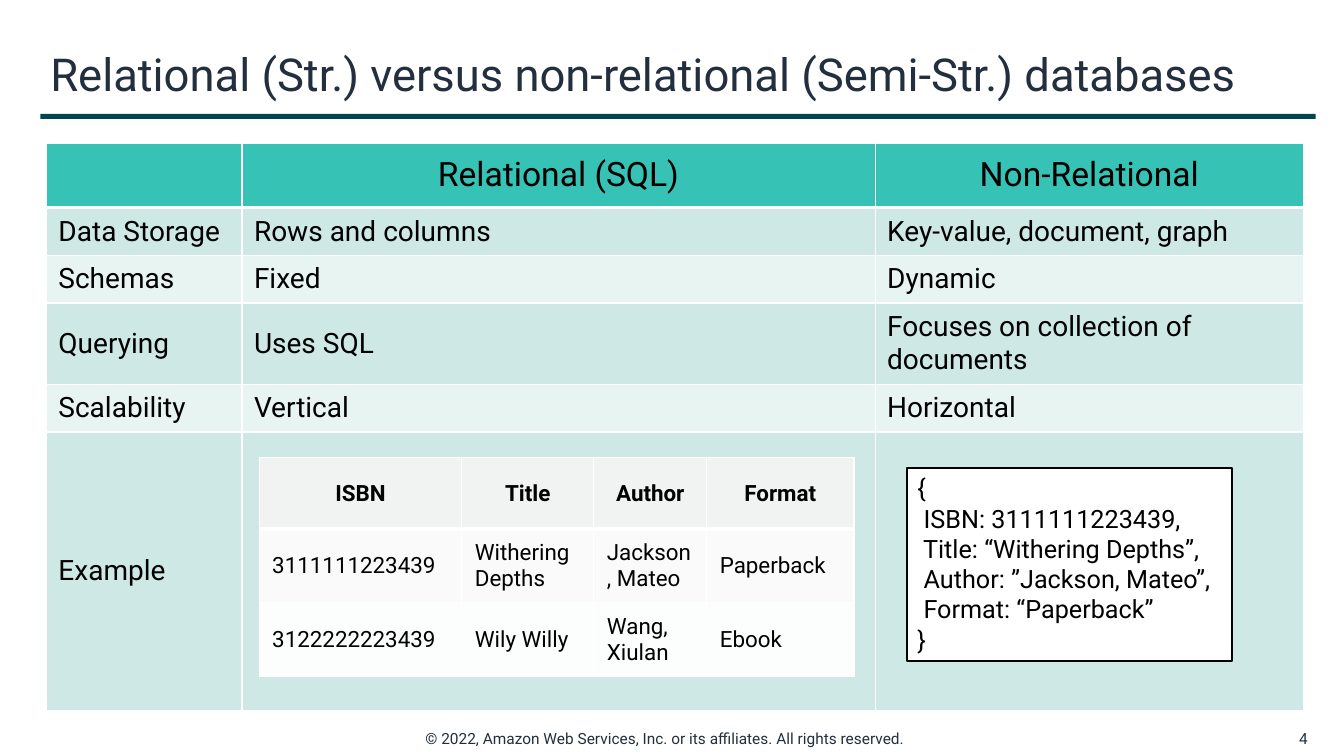
import pptx
import pptx.util
import pptx.dml.color
import pptx.enum.shapes
import pptx.enum.text
import pptx.oxml
import pptx.oxml.ns

Inches, Pt = pptx.util.Inches, pptx.util.Pt
Align, Anchor = pptx.enum.text.PP_ALIGN, pptx.enum.text.MSO_ANCHOR
RECT = pptx.enum.shapes.MSO_SHAPE.RECTANGLE

NAVY, BLACK, WHITE = "232F3E", "000000", "FFFFFF"


def color(code):
    return pptx.dml.color.RGBColor.from_string(code)


def edge(cell, side, width):
    """Draw one white border of a cell; call before the fill is set."""
    cell._tc.get_or_add_tcPr().append(pptx.oxml.parse_xml(
        f'<a:ln{side} {pptx.oxml.ns.nsdecls("a")} w="{Pt(width)}">'
        f'<a:solidFill><a:srgbClr val="{WHITE}"/></a:solidFill></a:ln{side}>'))


class Deck:
    def __init__(self, width, height, font):
        self.show = pptx.Presentation()
        self.show.slide_width, self.show.slide_height = Inches(width), Inches(height)
        self.slide = self.show.slides.add_slide(self.show.slide_layouts[6])
        self.font = font

    def put(self, frame, text, size, ink, align=Align.LEFT, bold=False):
        """Set the text of a frame and format its runs."""
        frame.text = text
        for para in frame.paragraphs:
            para.alignment = align
            for run in para.runs:
                font = run.font
                font.name, font.size, font.bold = self.font, Pt(size), bold
                font.color.rgb = color(ink)

    def label(self, box, text, size, align=Align.LEFT, anchor=Anchor.MIDDLE, wrap=True):
        frame = self.slide.shapes.add_textbox(*map(Inches, box)).text_frame
        frame.word_wrap = wrap
        frame.vertical_anchor = anchor
        self.put(frame, text, size, NAVY, align)

    def rect(self, box, fill, line=None):
        shape = self.slide.shapes.add_shape(RECT, *map(Inches, box))
        shape.shadow.inherit = False
        shape.fill.solid()
        shape.fill.fore_color.rgb = color(fill)
        if line:
            shape.line.color.rgb = color(line)
            shape.line.width = Pt(1.5)
        else:
            shape.line.fill.background()
        return shape

    def code(self, box, text, size):
        frame = self.rect(box, WHITE, BLACK).text_frame
        frame.word_wrap = False
        frame.vertical_anchor = Anchor.TOP
        self.put(frame, text, size, BLACK)

    def table(self, spot, cols, rows, data, fills, sizes, pad, bold=False):
        """Fills are the header fill and two band fills; sizes are header and body."""
        box = (*spot, sum(cols), sum(rows))
        grid = self.slide.shapes.add_table(len(rows), len(cols), *map(Inches, box)).table
        for col, width in zip(grid.columns, cols):
            col.width = Inches(width)
        for r, (row, height) in enumerate(zip(grid.rows, rows)):
            row.height = Inches(height)
            head = r == 0
            fill = fills[0] if head else fills[2 - r % 2]
            for cell, text in zip(row.cells, data[r]):
                for side in "LRTB":
                    thick = (r, side) in ((0, "B"), (1, "T"))
                    edge(cell, side, 3 if thick else 1)
                cell.fill.solid()
                cell.fill.fore_color.rgb = color(fill)
                cell.vertical_anchor = Anchor.MIDDLE
                cell.margin_left = cell.margin_right = Inches(pad)
                cell.margin_top = cell.margin_bottom = Inches(0.07)
                self.put(cell.text_frame, text, sizes[0 if head else 1], BLACK,
                         Align.CENTER if head else Align.LEFT, head and bold)


def main():
    deck = Deck(13.33, 7.5, "Roboto")
    deck.label((4.12, 7.18, 5.09, 0.29),
               "© 2022, Amazon Web Services, Inc. or its affiliates. All rights reserved.",
               11, anchor=Anchor.TOP, wrap=False)
    deck.rect((0.4, 1.13, 12.65, 0.05), "00464F")
    deck.label((12.54, 7.18, 0.53, 0.29), "4", 11, Align.RIGHT)
    deck.label((0.4, 0.33, 12.65, 0.8),
               "Relational (Str.) versus non-relational (Semi-Str.) databases", 32.4)

    traits = [
        ("", "Relational (SQL)", "Non-Relational"),
        ("Data Storage", "Rows and columns", "Key-value, document, graph"),
        ("Schemas", "Fixed", "Dynamic"),
        ("Querying", "Uses SQL", "Focuses on collection of documents"),
        ("Scalability", "Vertical", "Horizontal"),
        ("Example", "", ""),
    ]
    deck.table((0.46, 1.42), (1.94, 6.28, 4.25), (0.64, 0.45, 0.45, 0.79, 0.45, 2.76),
               traits, ("36C2B4", "CEE9E5", "E8F4F2"), (24, 20), 0.12)

    books = [
        ("ISBN", "Title", "Author", "Format"),
        ("3111111223439", "Withering Depths", "Jackson, Mateo", "Paperback"),
        ("3122222223439", "Wily Willy", "Wang, Xiulan", "Ebook"),
    ]
    deck.table((2.57, 4.54), (2.01, 1.31, 1.12, 1.46), (0.71, 0.73, 0.73),
               books, ("F1F3F3", "FAFAFA", "FCFDFD"), (16, 16), 0.13, bold=True)

    record = ("{", " ISBN: 3111111223439,", " Title: “Withering Depths”,",
              " Author: ”Jackson, Mateo”,", " Format: “Paperback”", "}")
    deck.code((9, 4.64, 3.22, 1.92), "\n".join(record), 18)
    deck.show.save("out.pptx")


if __name__ == "__main__":
    main()
